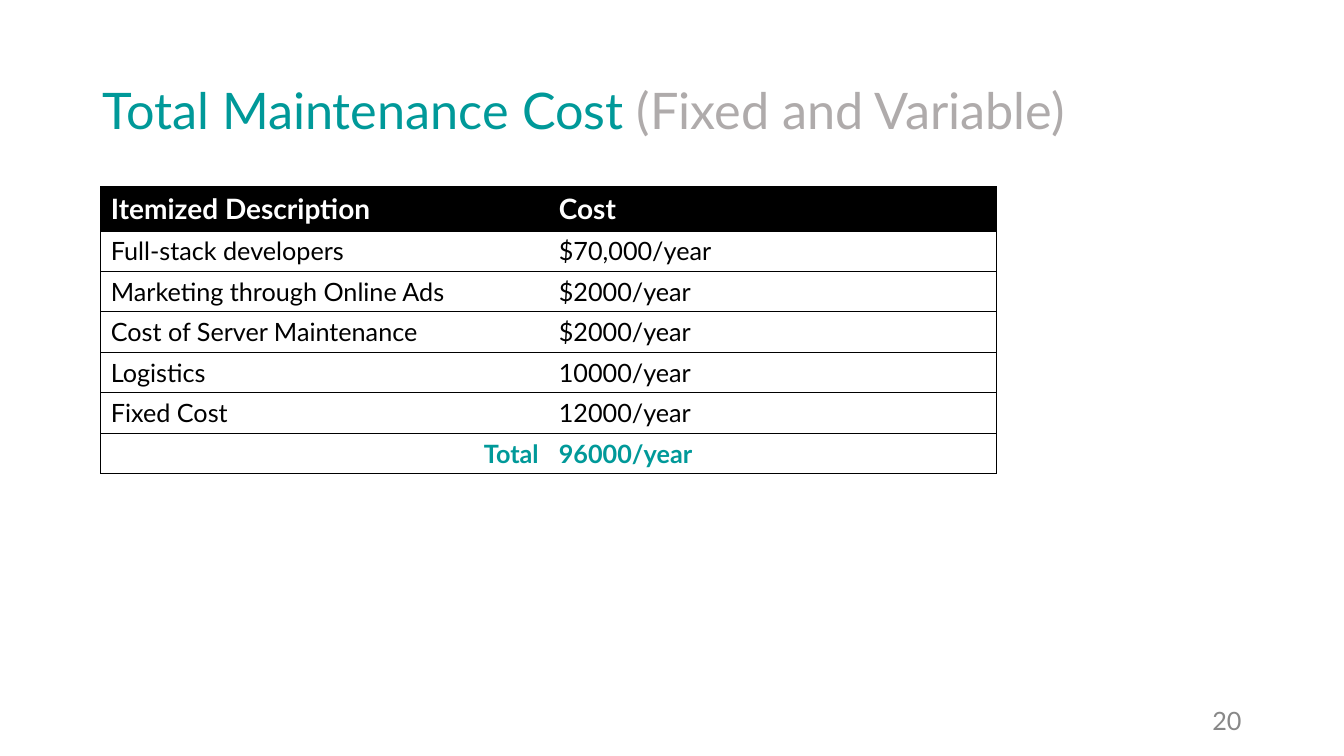
import pptx
import pptx.dml.color
import pptx.enum.text
import pptx.oxml
import pptx.oxml.ns
import pptx.util
from pptx.dml.color import RGBColor
from pptx.util import Cm

FONT = "Lato"
TEAL = RGBColor(0x00, 0x99, 0x99)
SILVER = RGBColor(0xAF, 0xAB, 0xAB)
GRAY = RGBColor(0x88, 0x88, 0x88)
BLACK = RGBColor(0x00, 0x00, 0x00)
WHITE = RGBColor(0xFF, 0xFF, 0xFF)

LEFT = pptx.enum.text.PP_ALIGN.LEFT
RIGHT = pptx.enum.text.PP_ALIGN.RIGHT
MIDDLE = pptx.enum.text.MSO_ANCHOR.MIDDLE

HEADER = ("Itemized Description", "Cost")
COSTS = [
    ("Full-stack developers", "$70,000/year"),
    ("Marketing through Online Ads", "$2000/year"),
    ("Cost of Server Maintenance", "$2000/year"),
    ("Logistics", "10000/year"),
    ("Fixed Cost", "12000/year"),
]
TOTAL = ("Total", "96000/year")


def add_run(paragraph, text, size, color, bold=False):
    run = paragraph.add_run()
    run.text = text
    run.font.name = FONT
    run.font.size = pptx.util.Pt(size)
    run.font.bold = bold
    run.font.color.rgb = color


def place(shape, left, top, width, height):
    shape.left, shape.top = Cm(left), Cm(top)
    shape.width, shape.height = Cm(width), Cm(height)


def add_title(slide):
    title = slide.shapes.title
    place(title, 2.33, 1.01, 29.21, 3.68)
    frame = title.text_frame
    frame.auto_size = pptx.enum.text.MSO_AUTO_SIZE.NONE
    frame.vertical_anchor = MIDDLE
    paragraph = frame.paragraphs[0]
    paragraph.alignment = LEFT
    paragraph.line_spacing = 0.9
    add_run(paragraph, "Total Maintenance Cost ", 36, TEAL)
    add_run(paragraph, "(Fixed and Variable)", 36, SILVER)


def set_borders(cell, visible_sides):
    """Draw thin black lines on the given sides and clear the others."""
    properties = cell._tc.get_or_add_tcPr()
    for side in "LRTB":
        if side in visible_sides:
            fill = f'<a:solidFill><a:srgbClr val="{BLACK}"/></a:solidFill>'
        else:
            fill = "<a:noFill/>"
        properties.append(pptx.oxml.parse_xml(
            f'<a:ln{side} {pptx.oxml.ns.nsdecls("a")} w="9525">{fill}</a:ln{side}>'))


def fill_row(table, row, texts, size, color, bold=False, background=WHITE):
    for column, text in enumerate(texts):
        cell = table.cell(row, column)
        set_borders(cell, "TB" + "LR"[column])
        cell.fill.solid()
        cell.fill.fore_color.rgb = background
        add_run(cell.text_frame.paragraphs[0], text, size, color, bold)


def add_cost_table(slide):
    header_height, row_height = Cm(1.12), Cm(1.02)
    row_count = len(COSTS) + 2
    table = slide.shapes.add_table(
        row_count, len(HEADER), Cm(2.54), Cm(4.7), Cm(22.58),
        header_height + row_height * (row_count - 1)).table
    for row in table.rows:
        row.height = row_height
    table.rows[0].height = header_height

    fill_row(table, 0, HEADER, 20, WHITE, bold=True, background=BLACK)
    for row, texts in enumerate(COSTS, start=1):
        fill_row(table, row, texts, 18, BLACK)
    last = row_count - 1
    fill_row(table, last, TOTAL, 18, TEAL, bold=True)
    table.cell(last, 0).text_frame.paragraphs[0].alignment = RIGHT


def add_slide_number(slide):
    box = slide.shapes.add_textbox(Cm(23.92), Cm(17.65), Cm(7.62), Cm(1.01))
    frame = box.text_frame
    frame.word_wrap = True
    frame.vertical_anchor = MIDDLE
    paragraph = frame.paragraphs[0]
    paragraph.alignment = RIGHT
    add_run(paragraph, "20", 18, GRAY)


def main():
    presentation = pptx.Presentation()
    presentation.slide_width = Cm(33.87)
    presentation.slide_height = Cm(19.05)
    slide = presentation.slides.add_slide(
        presentation.slide_layouts.get_by_name("Title Only"))
    add_title(slide)
    add_cost_table(slide)
    add_slide_number(slide)
    presentation.save("out.pptx")


if __name__ == "__main__":
    main()
